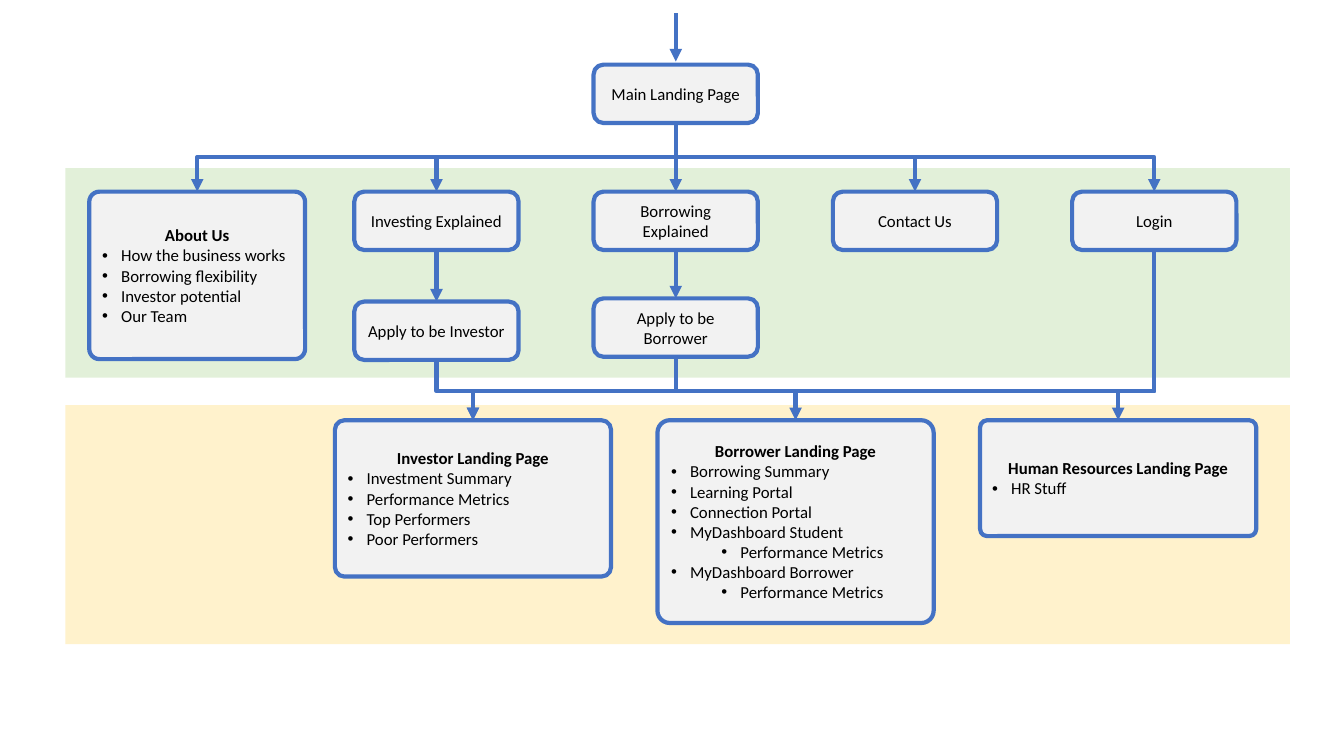
from lxml.etree import SubElement
from pptx import Presentation
from pptx.dml.color import RGBColor
from pptx.enum.shapes import MSO_CONNECTOR as LINK, MSO_SHAPE as SHAPE
from pptx.enum.text import MSO_ANCHOR as ANCHOR, PP_ALIGN as ALIGN
from pptx.oxml.ns import qn
from pptx.util import Cm, Pt

COLORS = {"public": "E2F0D9", "members": "FFF2CC", "box": "F2F2F2",
          "line": "4472C4", "text": "000000"}
FONT = {"name": "Calibri", "size": Pt(12)}

MIDDLE, COLUMN_GAP = 17.03, 6.03
PAGE_START, PAGE_GAP = 11.92, 8.13
columns = [MIDDLE + COLUMN_GAP * step for step in range(-2, 3)]
pages = [PAGE_START + PAGE_GAP * step for step in range(3)]
SMALL = (4.14, 1.47)
ROW_TOP, PAGE_TOP, PAGE_WIDTH = 4.83, 10.59, 6.96
MENU_BUS, LOGIN_BUS = 3.96, 9.86
ENTRY = (0.33, 1.55)
TIGHT_CORNER, BULLET_INDENT, LEVEL_INDENT = 0.061, 0.48, 1.27

BANDS = [("members", 10.21, 6.02), ("public", 4.24, 5.28)]
BAND_LEFT, BAND_WIDTH = 1.65, 30.86

SIMPLE_BOXES = [
    ("Main Landing Page", MIDDLE, 1.63),
    ("Investing Explained", columns[1], ROW_TOP),
    ("Borrowing Explained", columns[2], ROW_TOP),
    ("Contact Us", columns[3], ROW_TOP),
    ("Login", columns[4], ROW_TOP),
    ("Apply to be Investor", columns[1], 7.6),
    ("Apply to be Borrower", columns[2], 7.52),
]
LIST_BOXES = [
    ("About Us", columns[0], ROW_TOP, (5.44, 4.22),
     [(0, "How the business works"), (0, "Borrowing flexibility"),
      (0, "Investor potential"), (0, "Our Team")]),
    ("Investor Landing Page", pages[0], PAGE_TOP, (PAGE_WIDTH, 3.94),
     [(0, "Investment Summary"), (0, "Performance Metrics"),
      (0, "Top Performers"), (0, "Poor Performers")]),
    ("Borrower Landing Page", pages[1], PAGE_TOP, (PAGE_WIDTH, 5.11),
     [(0, "Borrowing Summary"), (0, "Learning Portal"), (0, "Connection Portal"),
      (0, "MyDashboard Student"), (1, "Performance Metrics"),
      (0, "MyDashboard Borrower"), (1, "Performance Metrics")]),
    ("Human Resources Landing Page", pages[2], PAGE_TOP, (PAGE_WIDTH, 2.92),
     [(0, "HR Stuff")]),
]
MENU = ["About Us", "Investing Explained", "Borrowing Explained", "Contact Us", "Login"]
LINKS = [("Main Landing Page", target, MENU_BUS) for target in MENU] + [
    ("Investing Explained", "Apply to be Investor", None),
    ("Borrowing Explained", "Apply to be Borrower", None),
    ("Apply to be Investor", "Investor Landing Page", LOGIN_BUS),
    ("Apply to be Borrower", "Borrower Landing Page", LOGIN_BUS),
    ("Login", "Investor Landing Page", LOGIN_BUS),
    ("Login", "Human Resources Landing Page", LOGIN_BUS),
]

deck = Presentation()
deck.slide_width, deck.slide_height = Cm(33.87), Cm(19.05)
page = deck.slides.add_slide(deck.slide_layouts[6])


def color(name):
    return RGBColor.from_string(COLORS[name])


def add_block(kind, fill, left, top, width, height):
    block = page.shapes.add_shape(kind, Cm(left), Cm(top), Cm(width), Cm(height))
    block.shadow.inherit = False
    block.fill.solid()
    block.fill.fore_color.rgb = color(fill)
    block.line.fill.background()
    return block


def style_line(line):
    line.color.rgb = color("line")
    line.width = Pt(3)


def write(para, text, bold):
    span = para.add_run()
    span.text = text
    for key, value in {**FONT, "bold": bold}.items():
        setattr(span.font, key, value)
    span.font.color.rgb = color("text")


def add_box(title, center, top, size, items=()):
    width, height = size
    box = add_block(SHAPE.ROUNDED_RECTANGLE, "box", center - width / 2, top, width, height)
    style_line(box.line)
    frame = box.text_frame
    frame.word_wrap = True
    frame.vertical_anchor = ANCHOR.MIDDLE
    frame.paragraphs[0].alignment = ALIGN.CENTER
    write(frame.paragraphs[0], title, bool(items))
    if items:
        box.adjustments[0] = TIGHT_CORNER
    for level, text in items:
        para = frame.add_paragraph()
        para.alignment, para.level = ALIGN.LEFT, level
        props = para._p.get_or_add_pPr()
        props.set("marL", str(Cm(BULLET_INDENT + LEVEL_INDENT * level)))
        props.set("indent", str(-Cm(BULLET_INDENT)))
        SubElement(props, qn("a:buFont"), typeface="Arial")
        SubElement(props, qn("a:buChar"), char="•")
        write(para, text, False)
    return box


def add_arrow(kind, start, end):
    arrow = page.shapes.add_connector(kind, *start, *end)
    style_line(arrow.line)
    SubElement(arrow.line._get_or_add_ln(), qn("a:tailEnd"), type="triangle")
    SubElement(arrow._element.spPr, qn("a:effectLst"))
    return arrow


def turn_downward(arrow, start, end, bus):
    (x1, y1), (x2, y2) = start, end
    across, down = abs(x2 - x1), y2 - y1
    arrow.left, arrow.top = (x1 + x2 - down) // 2, (y1 + y2 - across) // 2
    arrow.width, arrow.height = down, across
    rightward = x2 > x1
    frame = arrow._element.spPr.find(qn("a:xfrm"))
    frame.set("rot", str((270 if rightward else 90) * 60000))
    frame.set("flipH", str(int(rightward)))
    frame.set("flipV", "0")
    guides = arrow._element.spPr.find(qn("a:prstGeom")).find(qn("a:avLst"))
    share = round((Cm(bus) - y1) / down * 100000)
    SubElement(guides, qn("a:gd"), name="adj1", fmla=f"val {share}")


def link(source, target, bus):
    start = (source.left + source.width // 2, source.top + source.height)
    end = (target.left + target.width // 2, target.top)
    bent = bus is not None and abs(end[0] - start[0]) > Cm(0.1)
    arrow = add_arrow(LINK.ELBOW if bent else LINK.STRAIGHT, start, end)
    arrow.begin_connect(source, 2)
    arrow.end_connect(target, 0)
    if bent:
        turn_downward(arrow, start, end, bus)


for fill, top, height in BANDS:
    add_block(SHAPE.RECTANGLE, fill, BAND_LEFT, top, BAND_WIDTH, height)

boxes = {title: add_box(title, center, top, SMALL) for title, center, top in SIMPLE_BOXES}
for title, *details in LIST_BOXES:
    boxes[title] = add_box(title, *details)

add_arrow(LINK.STRAIGHT, *((Cm(MIDDLE), Cm(y)) for y in ENTRY))
for source, target, bus in LINKS:
    link(boxes[source], boxes[target], bus)

deck.save("out.pptx")
